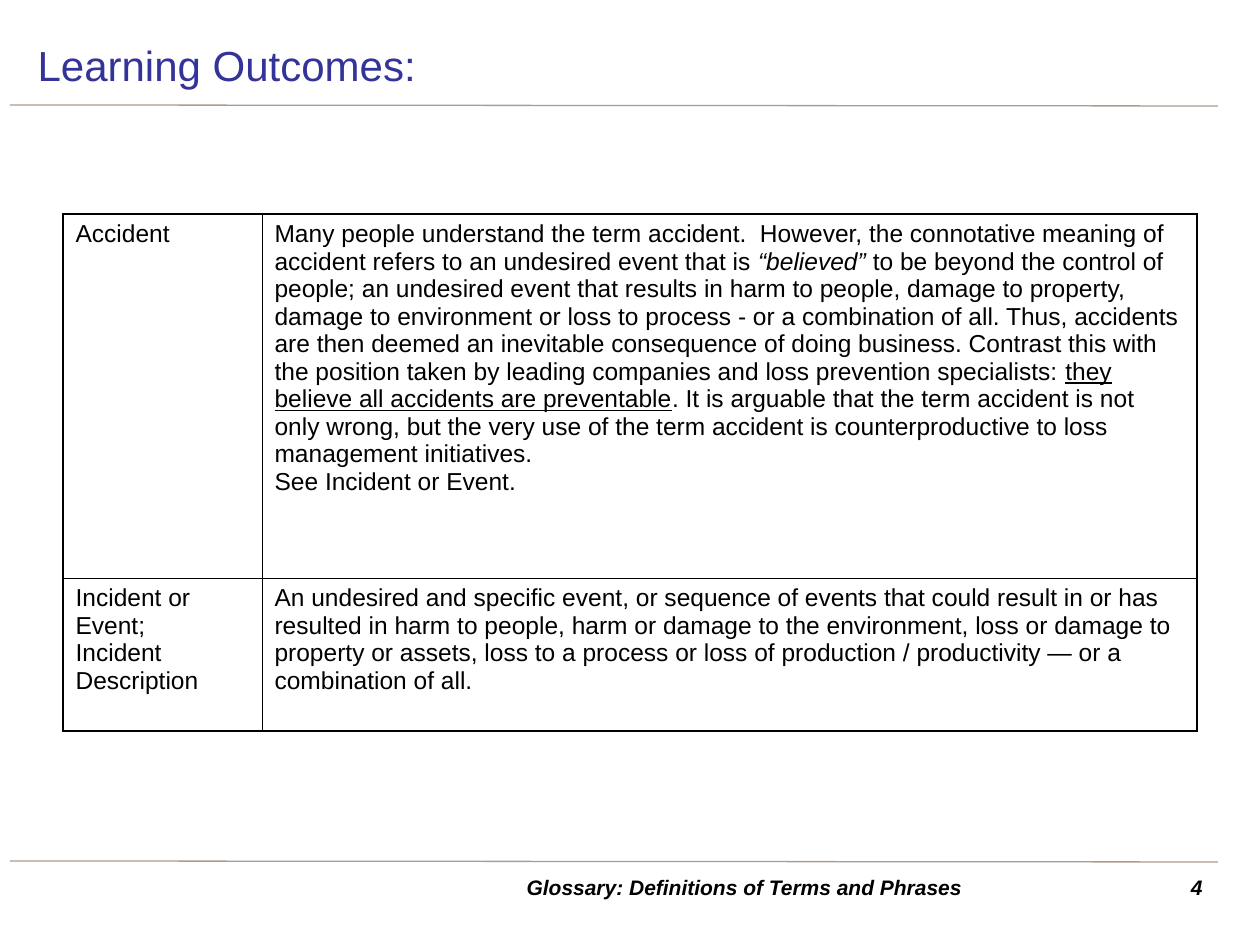
from dataclasses import dataclass

from lxml.etree import SubElement
from pptx import Presentation
from pptx.dml.color import RGBColor
from pptx.enum.shapes import MSO_CONNECTOR
from pptx.enum.text import MSO_ANCHOR, PP_ALIGN
from pptx.oxml.ns import qn
from pptx.util import Emu, Pt

PX_PER_INCH = 126
BLACK = RGBColor(0x00, 0x00, 0x00)
WHITE = RGBColor(0xFF, 0xFF, 0xFF)
NAVY = RGBColor(0x33, 0x33, 0x99)
TAUPE = RGBColor(0xAA, 0x9C, 0x8F)
FONT = "Arial"
OUTER_PT, INNER_PT = 1, 0.5


@dataclass(frozen=True)
class Span:
    text: str
    italic: bool = False
    underline: bool = False


@dataclass(frozen=True)
class Entry:
    term: str
    definition: list[list[Span]]
    height: int


ENTRIES = [
    Entry("Accident", [
        [
            Span("Many people understand the term accident.  However, the connotative "
                 "meaning of accident refers to an undesired event that is "),
            Span("“believed” ", italic=True),
            Span("to be beyond the control of people; an undesired event that results in "
                 "harm to people, damage to property, damage to environment or loss to "
                 "process - or a combination of all. Thus, accidents are then deemed an "
                 "inevitable consequence of doing business. Contrast this with the position "
                 "taken by leading companies and loss prevention specialists: "),
            Span("they believe all accidents are preventable", underline=True),
            Span(". It is arguable that the term accident is not only wrong, but the very "
                 "use of the term accident is counterproductive to loss management "
                 "initiatives."),
        ],
        [Span("See Incident or Event.")],
    ], 364),
    Entry("Incident or Event; \nIncident Description", [
        [Span("An undesired and specific event, or sequence of events that could result in "
              "or has resulted in harm to people, harm or damage to the environment, loss "
              "or damage to property or assets, loss to a process or loss of production / "
              "productivity — or a combination of all.")],
    ], 153),
]
COLUMN_WIDTHS = (199, 935)


def px(n: int) -> Emu:
    return Emu(round(n * 914400 / PX_PER_INCH))


def write(tf, paragraphs: list[list[Span]], *, size: int, color: RGBColor = BLACK,
          bold: bool = False, align: PP_ALIGN = PP_ALIGN.LEFT) -> None:
    """Fill a text frame; a newline inside a span becomes a line break."""
    tf.word_wrap = True
    for i, spans in enumerate(paragraphs):
        p = tf.paragraphs[0] if i == 0 else tf.add_paragraph()
        p.alignment = align
        for span in spans:
            for j, line in enumerate(span.text.split("\n")):
                if j:
                    p.add_line_break()
                r = p.add_run()
                r.text = line
                r.font.name, r.font.size = FONT, Pt(size)
                r.font.color.rgb = color
                r.font.bold, r.font.italic = bold, span.italic
                r.font.underline = span.underline


def add_rule(slide, y: int) -> None:
    line = slide.shapes.add_connector(MSO_CONNECTOR.STRAIGHT, px(10), px(y), px(1218), px(y + 1))
    line.line.color.rgb = TAUPE
    line.line.width = Pt(0.75)
    SubElement(line._element.spPr, qn("a:effectLst"))


def add_footer(slide, text: str, left: int, width: int, align: PP_ALIGN,
               anchor: MSO_ANCHOR) -> None:
    tf = slide.shapes.add_textbox(px(left), px(868), px(width), px(39)).text_frame
    tf.vertical_anchor = anchor
    write(tf, [[Span(text, italic=True)]], size=12, bold=True, align=align)


def set_borders(cell, widths: dict[str, float]) -> None:
    """Put the four edge lines ahead of the cell's fill, as the schema asks."""
    tcPr = cell._tc.get_or_add_tcPr()
    for i, (edge, width) in enumerate(widths.items()):
        ln = SubElement(tcPr, qn(f"a:{edge}"), w=str(Pt(width)))
        fill = SubElement(ln, qn("a:solidFill"))
        SubElement(fill, qn("a:srgbClr"), val=str(BLACK))
        tcPr.insert(i, ln)


def add_glossary(slide, entries: list[Entry]) -> None:
    rows, cols = len(entries), len(COLUMN_WIDTHS)
    table = slide.shapes.add_table(
        rows, cols, px(63), px(214), px(sum(COLUMN_WIDTHS)),
        px(sum(e.height for e in entries))).table
    table.first_row = table.horz_banding = False
    for column, width in zip(table.columns, COLUMN_WIDTHS):
        column.width = px(width)
    for i, entry in enumerate(entries):
        table.rows[i].height = px(entry.height)
        for j, content in enumerate(([[Span(entry.term)]], entry.definition)):
            cell = table.cell(i, j)
            cell.fill.solid()
            cell.fill.fore_color.rgb = WHITE
            write(cell.text_frame, content, size=14)
            on_outside = {"lnL": j == 0, "lnR": j == cols - 1,
                          "lnT": i == 0, "lnB": i == rows - 1}
            set_borders(cell, {edge: OUTER_PT if outer else INNER_PT
                               for edge, outer in on_outside.items()})


def main() -> None:
    prs = Presentation()
    prs.slide_width, prs.slide_height = px(1260), px(945)
    slide = prs.slides.add_slide(prs.slide_layouts[5])
    for y in (105, 861):
        add_rule(slide, y)
    title = slide.shapes.title
    title.left, title.top, title.width, title.height = px(25), px(30), px(1191), px(69)
    title.text_frame.vertical_anchor = MSO_ANCHOR.MIDDLE
    write(title.text_frame, [[Span("Learning Outcomes:")]], size=24, color=NAVY)
    add_footer(slide, "4", 1142, 73, PP_ALIGN.RIGHT, MSO_ANCHOR.TOP)
    add_footer(slide, "Glossary: Definitions of Terms and Phrases", 372, 745,
               PP_ALIGN.CENTER, MSO_ANCHOR.MIDDLE)
    add_glossary(slide, ENTRIES)
    prs.save("out.pptx")


if __name__ == "__main__":
    main()
